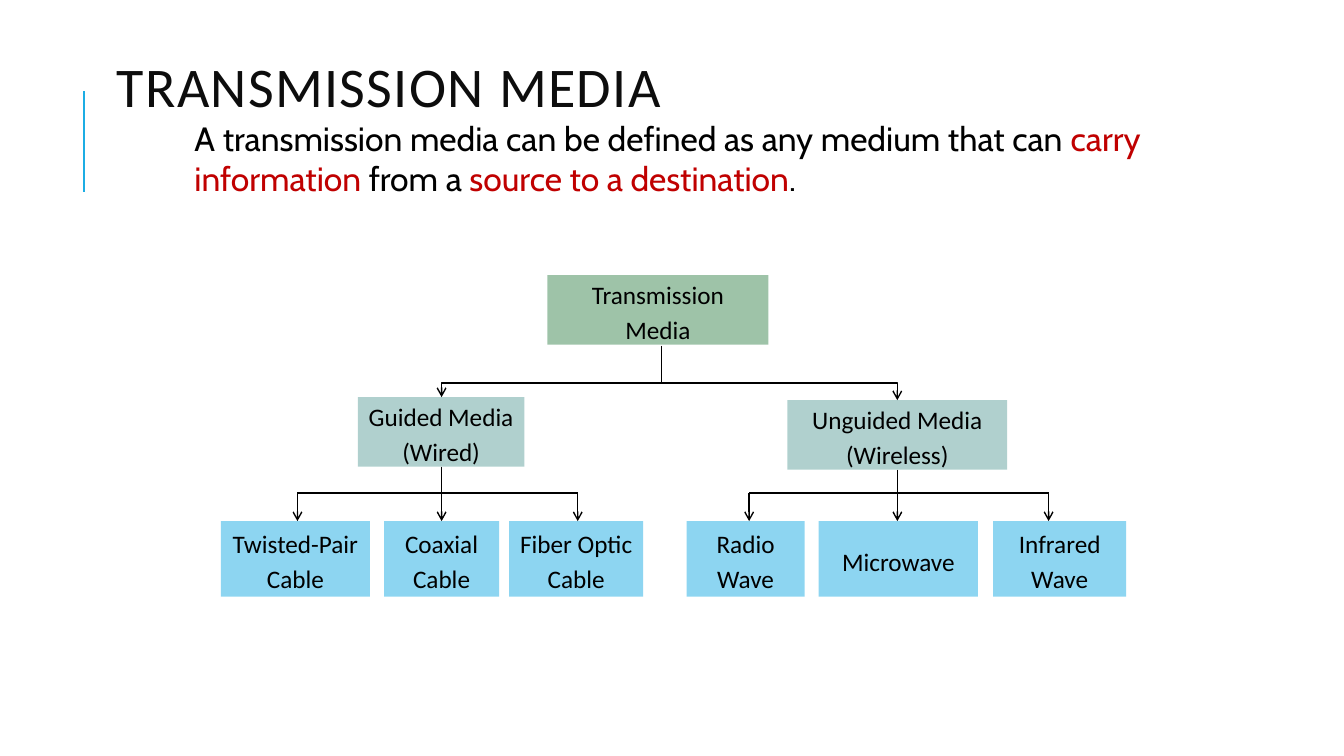
import pptx
import pptx.dml.color
import pptx.enum.shapes
import pptx.enum.text
import pptx.oxml.ns
import pptx.oxml.xmlchemy
import pptx.util

RGBColor = pptx.dml.color.RGBColor
ALIGN = pptx.enum.text.PP_ALIGN
ANCHOR = pptx.enum.text.MSO_ANCHOR
CONNECTOR = pptx.enum.shapes.MSO_CONNECTOR

BLACK = RGBColor(0x00, 0x00, 0x00)
TITLE_BLACK = RGBColor(0x0D, 0x0D, 0x0D)
RED = RGBColor(0xC0, 0x00, 0x00)
BLUE = RGBColor(0x1C, 0xAD, 0xE4)
TEAL = RGBColor(0x62, 0xA3, 0x9F)
GREEN = RGBColor(0x3E, 0x88, 0x53)

PX = 9144
ROOT_X, ROOT_BAR = 656, 380
LEAF_BAR, LEAF_TOP, LEAF_HEIGHT = 489, 517, 75

BRANCHES = [
    ("Guided Media (Wired)", (355, 394, 165, 69), 438, [
        ("Twisted-Pair Cable", 219, 148, 295),
        ("Coaxial Cable", 381, 114, 438),
        ("Fiber Optic Cable", 505, 133, 573),
    ]),
    ("Unguided Media (Wireless)", (781, 397, 218, 69), 890, [
        ("Radio Wave", 681, 117, 743),
        ("Microwave", 812, 158, 890),
        ("Infrared Wave", 985, 132, 1040),
    ]),
]


def lengths(*values):
    """Turn px into EMU."""
    return [pptx.util.Emu(value * PX) for value in values]


def write_text(shape, spans, size=18, font="Calibri", align=ALIGN.LEFT,
               anchor=ANCHOR.TOP, leading=None, after=0, tracking=0, inset=10):
    """Write coloured spans as one paragraph in a shape."""
    frame = shape.text_frame
    frame.word_wrap = True
    frame.vertical_anchor = anchor
    frame.margin_left, frame.margin_right = lengths(inset, inset)
    para = frame.paragraphs[0]
    para.alignment = align
    para.line_spacing = leading
    para.space_after = pptx.util.Pt(after)
    for text, color in spans:
        span = para.add_run()
        span.text = text
        span.font.name = font
        span.font.size = pptx.util.Pt(size)
        span.font.color.rgb = color
        if tracking:
            span.font._element.set("spc", str(tracking * 100))


def add_text(page, area, spans, **formatting):
    """Add a text box."""
    box = page.shapes.add_textbox(*lengths(*area))
    write_text(box, spans, **formatting)


def add_node(page, text, area, color, after=0, inset=8):
    """Add a half-transparent box of the tree."""
    box = page.shapes.add_shape(
        pptx.enum.shapes.MSO_SHAPE.RECTANGLE, *lengths(*area))
    box.shadow.inherit = False
    box.line.fill.background()
    box.fill.solid()
    box.fill.fore_color.rgb = color
    tint = box._element.spPr.find(".//" + pptx.oxml.ns.qn("a:srgbClr"))
    alpha = pptx.oxml.xmlchemy.OxmlElement("a:alpha")
    alpha.set("val", "50000")
    tint.append(alpha)
    write_text(box, [(text, BLACK)], align=ALIGN.CENTER, anchor=ANCHOR.MIDDLE,
               leading=1.15, after=after, inset=inset)


def add_line(page, start, end, color=BLACK, width=1, arrow=False, bent=False):
    """Add a straight or one-bend line, with an optional arrowhead."""
    kind = CONNECTOR.ELBOW if bent else CONNECTOR.STRAIGHT
    line = page.shapes.add_connector(kind, *lengths(*start, *end))
    line.line.color.rgb = color
    line.line.width = pptx.util.Pt(width)
    properties = line._element.spPr
    if bent:
        geometry = properties.find(pptx.oxml.ns.qn("a:prstGeom"))
        geometry.set("prst", "bentConnector2")
    if arrow:
        head = pptx.oxml.xmlchemy.OxmlElement("a:tailEnd")
        head.set("type", "arrow")
        properties.find(pptx.oxml.ns.qn("a:ln")).append(head)
    properties.append(pptx.oxml.xmlchemy.OxmlElement("a:effectLst"))


def add_branch(page, text, area, center, leaves):
    """Add a kind of media with its leaves and lines."""
    left, top, width, height = area
    add_node(page, text, area, TEAL, after=10)
    add_line(page, (ROOT_X, ROOT_BAR), (center, top), arrow=True, bent=True)
    for name, leaf_left, leaf_width, leaf_x in leaves:
        add_node(page, name, (leaf_left, LEAF_TOP, leaf_width, LEAF_HEIGHT), BLUE,
                 after=10 if name == "Microwave" else 0)
        start = top + height if leaf_x == center else LEAF_BAR
        add_line(page, (leaf_x, start), (leaf_x, LEAF_TOP), arrow=True)
    add_line(page, (leaves[0][-1], LEAF_BAR), (leaves[-1][-1], LEAF_BAR))


def main():
    """Build and save the slide."""
    deck = pptx.Presentation()
    deck.slide_width, deck.slide_height = lengths(1333, 750)
    page = deck.slides.add_slide(deck.slide_layouts[6])
    add_line(page, (83, 190), (83, 90), color=BLUE, width=1.5)
    add_text(page, (106, 9, 1063, 164), [("TRANSMISSION MEDIA", TITLE_BLACK)],
             size=40, anchor=ANCHOR.MIDDLE, leading=0.8, tracking=1)
    add_text(page, (183, 112, 958, 91), [
        ("A transmission media can be defined as any medium that can ", BLACK),
        ("carry information", RED),
        (" from a ", BLACK),
        ("source to a destination", RED),
        (".", BLACK),
    ], size=24, font="Cabin", align=ALIGN.JUSTIFY)
    add_node(page, "Transmission Media", (543, 273, 219, 69), GREEN,
             after=10, inset=14)
    add_line(page, (ROOT_X, 343), (ROOT_X, ROOT_BAR))
    for branch in BRANCHES:
        add_branch(page, *branch)
    deck.save("out.pptx")


if __name__ == "__main__":
    main()
